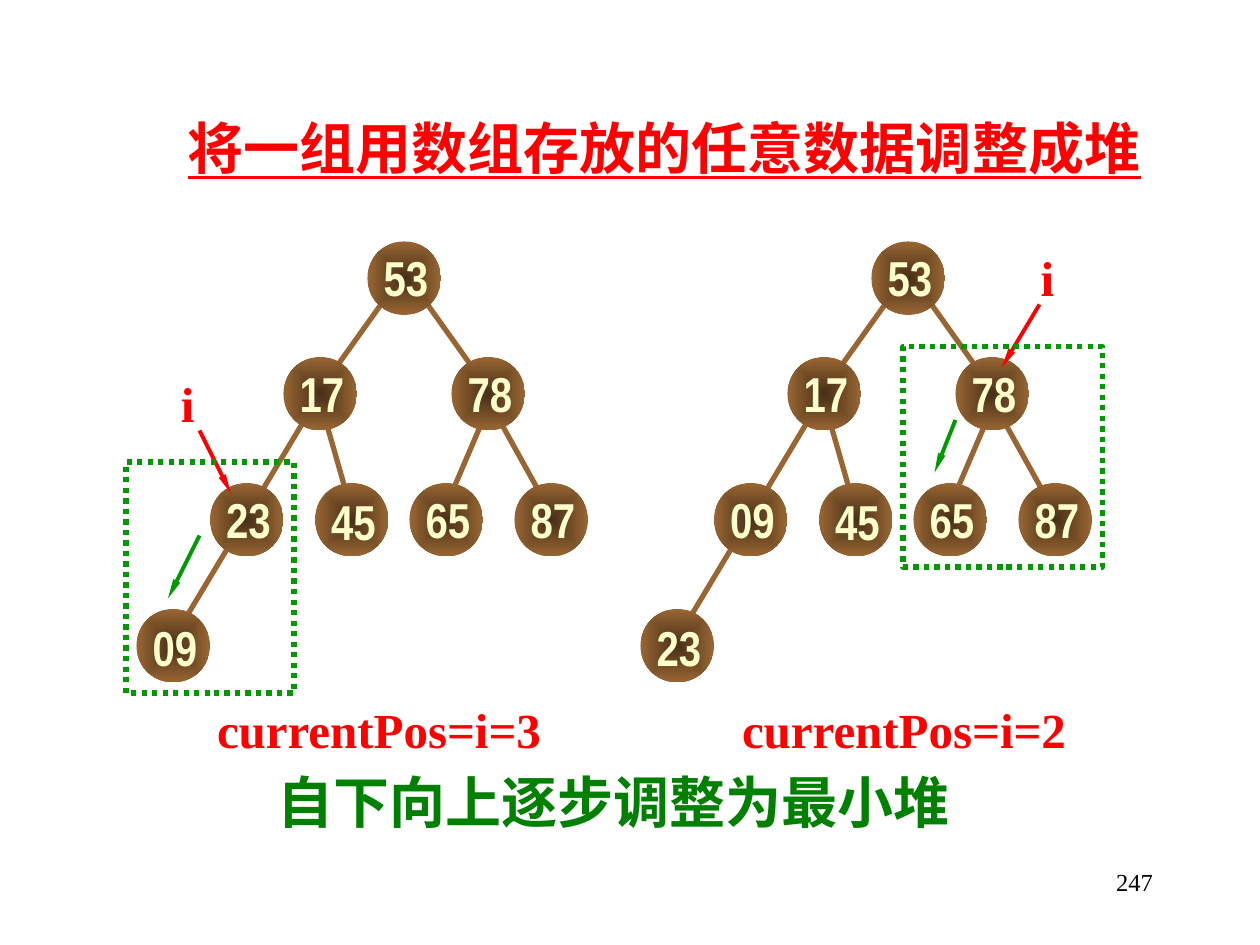
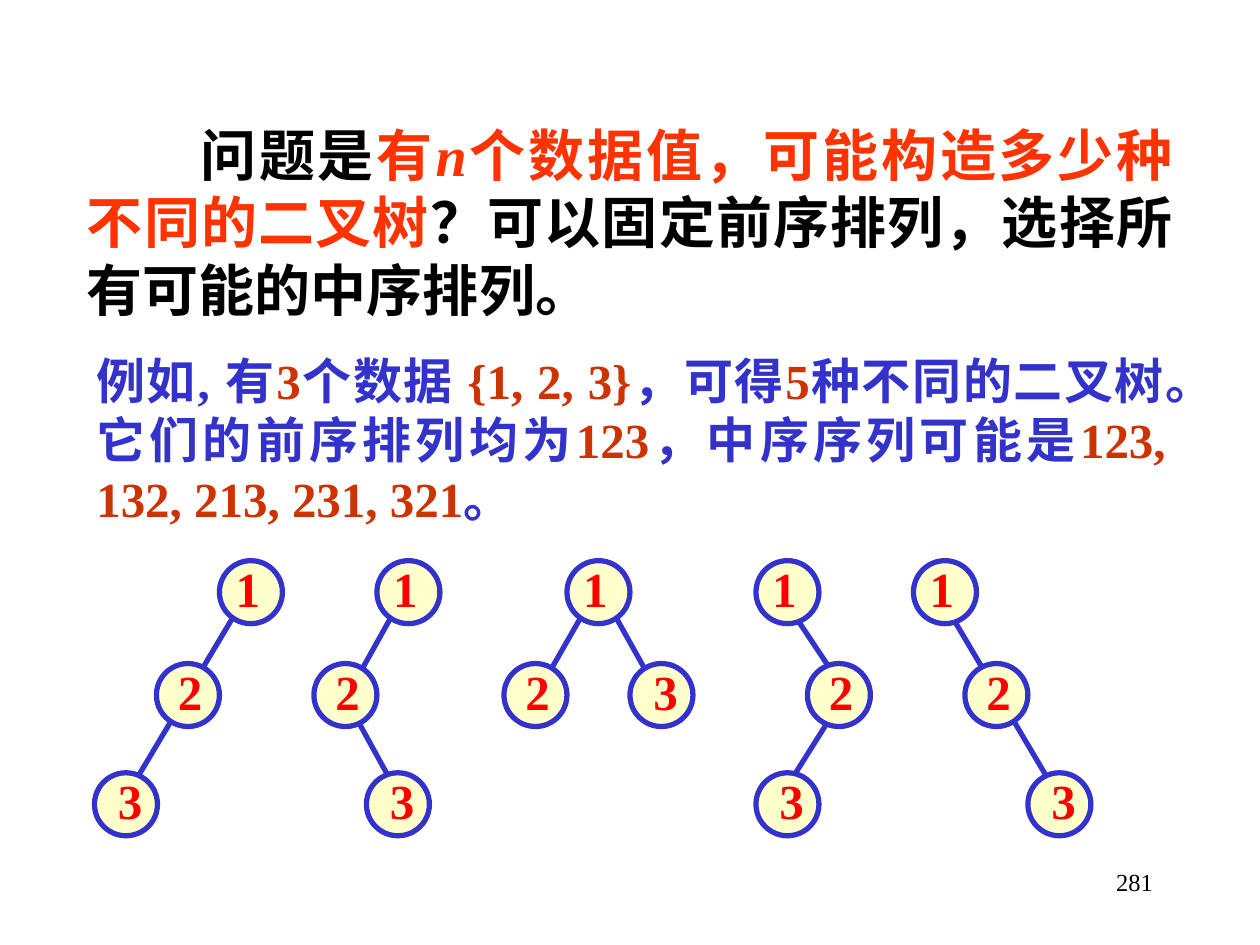
from dataclasses import dataclass
from typing import NamedTuple

from lxml.etree import SubElement
from pptx import Presentation
from pptx.dml.color import RGBColor
from pptx.enum.dml import MSO_LINE
from pptx.enum.shapes import MSO_CONNECTOR, MSO_SHAPE
from pptx.enum.text import MSO_ANCHOR, MSO_AUTO_SIZE, PP_ALIGN
from pptx.oxml.ns import qn
from pptx.util import Inches, Pt

SLIDE_WIDTH, SLIDE_HEIGHT = Inches(10), Inches(7.5)
COLUMNS = 120
CELL = SLIDE_WIDTH // COLUMNS  # square cells: 120 columns by 90 rows


@dataclass(frozen=True)
class Theme:
    serif: str = "Times New Roman"
    sans: str = "Arial"
    narrow: str = "Arial Narrow"
    heading_size: float = 32
    label_size: float = 28
    footer_size: float = 14
    edge_width: float = 3
    arrow_width: float = 2.25
    black: str = "000000"
    red: str = "FF0000"
    orange: str = "FF3300"
    rust: str = "CC3300"
    blue: str = "3333CC"
    caption_green: str = "008000"
    green: str = "009900"
    brown: str = "996633"
    dark_brown: str = "472F18"
    cream: str = "FFFFCC"


THEME = Theme()


class Area(NamedTuple):
    left: float
    top: float
    width: float
    height: float

    def emu(self) -> list[int]:
        return [round(value * CELL) for value in self]


class Segment(NamedTuple):
    x1: float
    y1: float
    x2: float
    y2: float


class Span(NamedTuple):
    text: str
    color: str
    italic: bool = False


class Node(NamedTuple):
    label: str
    left: float
    top: float
    nudge_x: float
    nudge_y: float


class Tree(NamedTuple):
    nodes: list[Node]
    edges: list[Segment]


class NodeStyle(NamedTuple):
    diameter: float
    label_width: float
    font: str
    label_color: str
    edge_color: str
    shaded: bool


class HeapStep(NamedTuple):
    offset: float
    values: list[str]
    position: str
    position_left: float
    index_label: Area
    index_arrow: Segment
    sift_arrow: Segment
    subtree: Area


HEAP_STYLE = NodeStyle(7, 6.72, THEME.narrow, THEME.cream, THEME.brown, True)
BINARY_STYLE = NodeStyle(6, 4.8, THEME.serif, THEME.red, THEME.blue, False)
LABEL_HEIGHT = 6.84

# Level by level, left to right
HEAP_PLACES = [(35, 23), (27, 34), (43, 34), (20, 46),
               (30, 46), (39, 46), (49, 46), (13, 58)]
HEAP_NUDGES = [(0.3, 0)] * 4 + [(0.3, 0.2), (0.3, 0), (0.3, 0), (0.3, 0.2)]
HEAP_EDGES = [
    Segment(47, 39, 52, 48), Segment(46, 40, 43, 47), Segment(40, 28, 45, 35),
    Segment(31, 40, 33, 47), Segment(37, 28, 32, 35), Segment(29, 40, 17, 60),
]
HEAP_STEPS = [
    HeapStep(0, ["53", "17", "78", "23", "45", "65", "87", "09"],
             "currentPos=i=3", 19.3, Area(16, 35, 3.72, LABEL_HEIGHT),
             Segment(19, 41, 22, 47), Segment(19, 51, 16, 57),
             Area(12, 44, 16, 22)),
    HeapStep(48, ["53", "17", "78", "09", "45", "65", "87", "23"],
             "currentPos=i=2", 69.3, Area(97.9, 23, 3.72, LABEL_HEIGHT),
             Segment(99, 29, 95.4, 35), Segment(91, 40, 89, 45),
             Area(86, 33, 19, 21)),
]

LEVEL_TOPS = [53.4, 63.2, 73.6]
BINARY_NUDGES = {"1": 0.3, "2": 0.8, "3": 1}


def binary_tree(places: list[tuple[float, int]], edges: list[Segment]) -> Tree:
    """Number the (left, level) places 1, 2, 3 in preorder."""
    nodes = [Node(str(i), left, LEVEL_TOPS[level], BINARY_NUDGES[str(i)], -0.84)
             for i, (left, level) in enumerate(places, 1)]
    return Tree(nodes, edges)


BINARY_TREES = [
    binary_tree([(20.9, 0), (14.9, 1), (9, 2)], [Segment(22.9, 57.6, 13, 74.2)]),
    binary_tree([(35.9, 0), (29.9, 1), (34.9, 2)],
                [Segment(37.9, 57.6, 34, 64.6), Segment(34, 68.5, 37.9, 75.6)]),
    binary_tree([(54, 0), (48, 1), (60, 1)],
                [Segment(56, 57.6, 52, 64.6), Segment(58, 57.6, 61.9, 64.6)]),
    binary_tree([(72, 0), (76.9, 1), (72, 2)],
                [Segment(75, 57.6, 81, 66.6), Segment(79, 68.5, 73.9, 76.6)]),
    binary_tree([(87, 0), (91.9, 1), (97.9, 2)], [Segment(90, 57.6, 100, 74.5)]),
]

QUESTION = [
    Span("问题是", THEME.black),
    Span("有", THEME.orange),
    Span("n", THEME.orange, italic=True),
    Span("个数据值，可能构造多少种不同的二叉树", THEME.orange),
    Span("？可以固定前序排列，选择所有可能的中序排列。", THEME.black),
]
EXAMPLE = [
    Span(text, (THEME.blue, THEME.rust)[i % 2])
    for i, text in enumerate([
        "例如, 有", "3", "个数据 ", "{1, 2, 3}", "，可得", "5",
        "种不同的二叉树。它们的前序排列均为", "123",
        "，中序序列可能是", "123, 132, 213, 231, 321", "。"])
]


def rgb(color: str) -> RGBColor:
    return RGBColor.from_string(color)


def add_text(shapes, area: Area, text: str = "", color: str = THEME.black,
             size: float = THEME.label_size, font: str = THEME.serif,
             align: PP_ALIGN = PP_ALIGN.LEFT, bold: bool = True,
             underline: bool = False):
    """Add a wrapping one-paragraph box and return its text frame."""
    frame = shapes.add_textbox(*area.emu()).text_frame
    frame.word_wrap = True
    frame.auto_size = MSO_AUTO_SIZE.SHAPE_TO_FIT_TEXT
    line = frame.paragraphs[0]
    line.text = text
    line.alignment = align
    line.font.name, line.font.size = font, Pt(size)
    line.font.bold = bold
    if underline:
        line.font.underline = True
    line.font.color.rgb = rgb(color)
    return frame


def add_label(shapes, area: Area, text: str, color: str,
              font: str = THEME.serif) -> None:
    """Add a short centred text that never wraps."""
    frame = add_text(shapes, area, text, color, font=font, align=PP_ALIGN.CENTER)
    frame.word_wrap = False
    frame.vertical_anchor = MSO_ANCHOR.MIDDLE


def add_passage(shapes, area: Area, spans: list[Span], size: float,
                indent: float = 0) -> None:
    paragraph = add_text(shapes, area, size=size,
                         align=PP_ALIGN.JUSTIFY).paragraphs[0]
    if indent:
        paragraph._p.get_or_add_pPr().set("indent", str(round(indent * CELL)))
    for span in spans:
        run = paragraph.add_run()
        run.text = span.text
        run.font.color.rgb = rgb(span.color)
        if span.italic:
            run.font.italic = True


def add_line(shapes, segment: Segment, color: str, width: float,
             arrow: bool = False) -> None:
    connector = shapes.add_connector(
        MSO_CONNECTOR.STRAIGHT, *(round(value * CELL) for value in segment))
    connector.line.color.rgb = rgb(color)
    connector.line.width = Pt(width)
    if arrow:
        SubElement(connector.line._get_or_add_ln(), qn("a:tailEnd"),
                   type="triangle", w="sm", len="lg")
    SubElement(connector._element.spPr, qn("a:effectLst"))


def shade_from_centre(shape) -> None:
    shape.fill.gradient()
    for stop, color in zip(shape.fill.gradient_stops,
                           (THEME.dark_brown, THEME.brown)):
        stop.color.rgb = rgb(color)
    gradient = shape._element.spPr.find(qn("a:gradFill"))
    gradient.remove(gradient.find(qn("a:lin")))
    focus = SubElement(gradient, qn("a:path"), path="shape")
    SubElement(focus, qn("a:fillToRect"),
               {side: "50000" for side in ("l", "t", "r", "b")})


def add_circle(shapes, node: Node, style: NodeStyle) -> None:
    area = Area(node.left, node.top, style.diameter, style.diameter)
    circle = shapes.add_shape(MSO_SHAPE.OVAL, *area.emu())
    circle.shadow.inherit = False
    if style.shaded:
        shade_from_centre(circle)
        circle.line.fill.background()
    else:
        circle.fill.solid()
        circle.fill.fore_color.rgb = rgb(THEME.cream)
        circle.line.color.rgb = rgb(style.edge_color)
        circle.line.width = Pt(THEME.edge_width)


def add_tree(shapes, tree: Tree, style: NodeStyle) -> None:
    for edge in tree.edges:
        add_line(shapes, edge, style.edge_color, THEME.edge_width)
    for node in tree.nodes:
        add_circle(shapes, node, style)
        add_label(shapes, Area(node.left + node.nudge_x, node.top + node.nudge_y,
                               style.label_width, LABEL_HEIGHT),
                  node.label, style.label_color, style.font)


def add_subtree_frame(shapes, area: Area) -> None:
    frame = shapes.add_shape(MSO_SHAPE.RECTANGLE, *area.emu())
    frame.shadow.inherit = False
    frame.fill.background()
    frame.line.color.rgb = rgb(THEME.green)
    frame.line.width = Pt(THEME.edge_width)
    frame.line.dash_style = MSO_LINE.ROUND_DOT


def add_heap_step(shapes, step: HeapStep) -> None:
    nodes = [Node(value, left + step.offset, top, *nudge)
             for value, (left, top), nudge
             in zip(step.values, HEAP_PLACES, HEAP_NUDGES)]
    edges = [Segment(e.x1 + step.offset, e.y1, e.x2 + step.offset, e.y2)
             for e in HEAP_EDGES]
    add_tree(shapes, Tree(nodes, edges), HEAP_STYLE)
    add_label(shapes, step.index_label, "i", THEME.red)
    add_line(shapes, step.index_arrow, THEME.red, THEME.arrow_width, arrow=True)
    add_subtree_frame(shapes, step.subtree)
    add_line(shapes, step.sift_arrow, THEME.green, THEME.arrow_width, arrow=True)
    add_label(shapes, Area(step.position_left, 66, 33.6, LABEL_HEIGHT),
              step.position, THEME.red)


def add_numbered_slide(deck, number: str):
    slide = deck.slides.add_slide(deck.slide_layouts[6])
    footer = add_text(slide.shapes, Area(86, 82, 25, 6), number,
                      size=THEME.footer_size, align=PP_ALIGN.RIGHT, bold=False)
    footer.auto_size = MSO_AUTO_SIZE.NONE
    return slide


def build_heap_slide(deck) -> None:
    shapes = add_numbered_slide(deck, "247").shapes
    add_text(shapes, Area(16.7, 10.2, 93.7, 7.6),
             "将一组用数组存放的任意数据调整成堆", THEME.red,
             THEME.heading_size, THEME.sans, underline=True)
    for step in HEAP_STEPS:
        add_heap_step(shapes, step)
    add_text(shapes, Area(25.2, 72.5, 67.3, 7.6), "自下向上逐步调整为最小堆",
             THEME.caption_green, THEME.heading_size)


def build_counting_slide(deck) -> None:
    shapes = add_numbered_slide(deck, "281").shapes
    add_passage(shapes, Area(7.1, 10.9, 105.8, 20.6), QUESTION,
                THEME.heading_size, indent=10.8)
    add_passage(shapes, Area(8, 32.8, 104.2, 18), EXAMPLE, THEME.label_size)
    for tree in BINARY_TREES:
        add_tree(shapes.add_group_shape().shapes, tree, BINARY_STYLE)


def main() -> None:
    deck = Presentation()
    deck.slide_width, deck.slide_height = SLIDE_WIDTH, SLIDE_HEIGHT
    build_heap_slide(deck)
    build_counting_slide(deck)
    deck.save("out.pptx")


if __name__ == "__main__":
    main()
